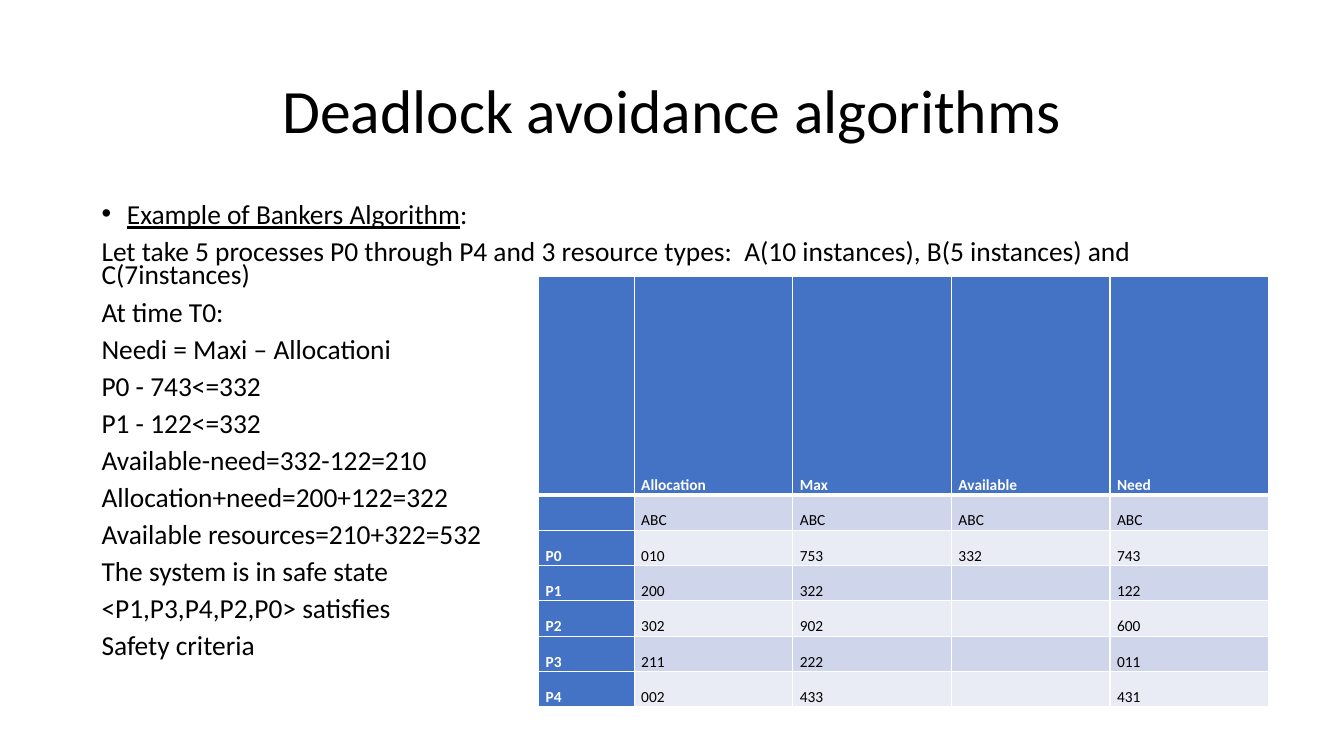
from dataclasses import dataclass

from lxml import etree
from pptx import Presentation
from pptx.dml.color import RGBColor
from pptx.enum.text import MSO_ANCHOR, PP_ALIGN
from pptx.oxml.ns import qn
from pptx.util import Cm, Pt

MIDDLE, BOTTOM, TOP = MSO_ANCHOR.MIDDLE, MSO_ANCHOR.BOTTOM, MSO_ANCHOR.TOP
CENTER, LEFT = PP_ALIGN.CENTER, PP_ALIGN.LEFT


@dataclass(frozen=True)
class Theme:
    """Colours, font and type sizes of the slide."""
    font: str = "Calibri"
    ink: str = "000000"
    paper: str = "FFFFFF"
    head: str = "4472C4"
    bands: tuple = ("CFD5EA", "E9EBF5")
    title: float = 44
    body: float = 19.6
    cell: float = 11


THEME = Theme()
TITLE = "Deadlock avoidance algorithms"
LEAD = "Example of Bankers Algorithm"
STEPS = [
    "Let take 5 processes P0 through P4 and 3 resource types:  "
    "A(10 instances), B(5 instances) and C(7instances)",
    "At time T0:",
    "Needi = Maxi – Allocationi",
    "P0 - 743<=332",
    "P1 - 122<=332",
    "Available-need=332-122=210",
    "Allocation+need=200+122=322",
    "Available resources=210+322=532",
    "The system is in safe state",
    "<P1,P3,P4,P2,P0> satisfies",
    "Safety criteria",
]
ROWS = [
    ["", "Allocation", "Max", "Available", "Need"],
    ["", "ABC", "ABC", "ABC", "ABC"],
    ["P0", "010", "753", "332", "743"],
    ["P1", "200", "322", "", "122"],
    ["P2", "302", "902", "", "600"],
    ["P3", "211", "222", "", "011"],
    ["P4", "002", "433", "", "431"],
]


def assign(item, **values):
    """Set each named attribute on the item."""
    for name, value in values.items():
        setattr(item, name, value)


def write(para, text, size, color=THEME.ink, **style):
    """Add a styled run to a paragraph."""
    run = para.add_run()
    run.text = text
    assign(run.font, name=THEME.font, size=Pt(size), **style)
    run.font.color.rgb = RGBColor.from_string(color)


def add_frame(slide, box, anchor):
    """Add a wrapping text box and return its frame."""
    frame = slide.shapes.add_textbox(*map(Cm, box)).text_frame
    assign(frame, word_wrap=True, vertical_anchor=anchor)
    return frame


def add_bullet(para, indent):
    """Give a paragraph a hanging round bullet."""
    props = para._p.get_or_add_pPr()
    props.set("marL", str(Cm(indent)))
    props.set("indent", str(-Cm(indent)))
    etree.SubElement(props, qn("a:buFont")).set("typeface", "Arial")
    etree.SubElement(props, qn("a:buChar")).set("char", "•")


def add_title(slide, box):
    """Place the centred heading."""
    para = add_frame(slide, box, MIDDLE).paragraphs[0]
    assign(para, alignment=CENTER, line_spacing=0.9)
    write(para, TITLE, THEME.title)


def add_steps(slide, box):
    """Place the bulleted lead and the worked steps."""
    frame = add_frame(slide, box, TOP)
    lead = frame.paragraphs[0]
    write(lead, LEAD, THEME.body, underline=True)
    write(lead, ":", THEME.body)
    for step in STEPS:
        write(frame.add_paragraph(), step, THEME.body)
    for para in frame.paragraphs:
        assign(para, alignment=LEFT, line_spacing=0.7, space_before=Pt(10))
    add_bullet(lead, 0.64)


def add_edge(cell, side, width):
    """Draw one side of a cell's border."""
    props = cell._tc.get_or_add_tcPr()
    line = etree.SubElement(props, qn(f"a:ln{side}"), w=str(Pt(width)))
    fill = etree.SubElement(line, qn("a:solidFill"))
    etree.SubElement(fill, qn("a:srgbClr"), val=THEME.paper)


def fill_cell(cell, text, row, col):
    """Style and fill one cell by its place in the grid."""
    head = row == 0 or col == 0
    assign(cell, vertical_anchor=BOTTOM, margin_left=Cm(0.18),
           margin_right=Cm(0.18), margin_top=0, margin_bottom=0)
    edges = {"L": 1, "R": 1, "T": 3 if row == 1 else 1, "B": 3 if row == 0 else 1}
    for side, width in edges.items():
        add_edge(cell, side, width)
    cell.fill.solid()
    tint = THEME.head if head else THEME.bands[(row - 1) % 2]
    cell.fill.fore_color.rgb = RGBColor.from_string(tint)
    if text:
        para = cell.text_frame.paragraphs[0]
        para.line_spacing = 1.07
        write(para, text, THEME.cell, THEME.paper if head else THEME.ink, bold=head)


def add_grid(slide, box):
    """Place the allocation table, with a tall head and a narrow first column."""
    left, top, width, height = box
    count, span = len(ROWS), len(ROWS[0])
    first, low = 2.41, 0.89
    table = slide.shapes.add_table(count, span, *map(Cm, box)).table
    table.first_col = True
    for col, part in enumerate(table.columns):
        part.width = Cm((width - first) / (span - 1) if col else first)
    for row, part in enumerate(table.rows):
        part.height = Cm(low if row else height - low * (count - 1))
    for row, texts in enumerate(ROWS):
        for col, text in enumerate(texts):
            fill_cell(table.cell(row, col), text, row, col)


def main():
    """Build and save the slide."""
    deck = Presentation()
    assign(deck, slide_width=Cm(33.87), slide_height=Cm(19.05))
    slide = deck.slides.add_slide(deck.slide_layouts[6])
    add_title(slide, (2.33, 1.01, 29.21, 3.68))
    add_steps(slide, (2.31, 5.08, 29.21, 12.09))
    add_grid(slide, (13.57, 6.97, 18.4, 10.84))
    deck.save("out.pptx")


if __name__ == "__main__":
    main()
